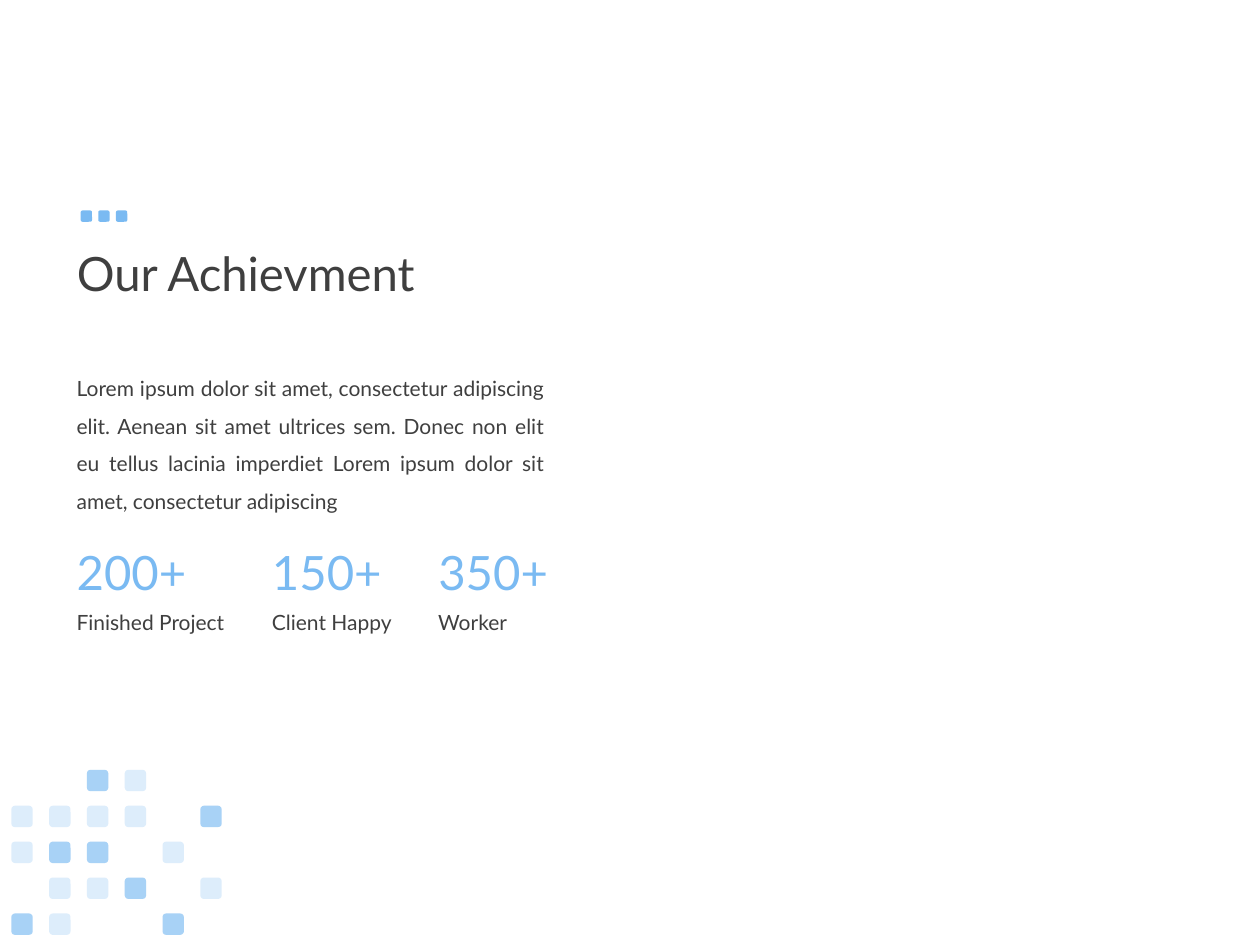
"""Build the achievement slide with three key figures and a mosaic of squares."""
from lxml.etree import SubElement
from pptx import Presentation
from pptx.dml.color import RGBColor
from pptx.enum.shapes import MSO_SHAPE as Shape
from pptx.enum.text import MSO_ANCHOR as Anchor, PP_ALIGN as Align
from pptx.oxml.ns import qn
from pptx.util import Inches, Pt

BLUE, DARK = "7ABAF2", "3F3F3F"
LEFT = 0.51
TITLE = "Our Achievment"
BODY = (
    "Lorem ipsum dolor sit amet, consectetur adipiscing elit. Aenean sit amet "
    "ultrices sem. Donec non elit eu tellus lacinia imperdiet Lorem ipsum dolor "
    "sit amet, consectetur adipiscing"
)
FIGURES = [
    (LEFT, "200+", "Finished Project"),
    (2.06, "150+", "Client Happy"),
    (3.38, "350+", "Worker"),
]
MOSAIC = [
    "..#o..",
    "oooo.#",
    "o##.o.",
    ".oo#.o",
    "#o..#.",
]
OPACITY = {"#": 65, "o": 25}
MOSAIC_LEFT, MOSAIC_TOP, COLUMN_STEP, ROW_STEP, TILE = 0.09, 6.11, 0.3, 0.285, 0.17
DOTS_LEFT, DOTS_TOP, DOT_STEP, DOT = 0.64, 1.67, 0.14, 0.09


def color(value):
    return RGBColor.from_string(value)


def write(frame, text, size, value, **formats):
    frame.word_wrap = True
    paragraph = frame.paragraphs[0]
    for name, setting in {"alignment": Align.LEFT, **formats}.items():
        setattr(paragraph, name, setting)
    run = paragraph.add_run()
    run.text = text
    for name, setting in {"name": "Lato", "size": Pt(size), "bold": False}.items():
        setattr(run.font, name, setting)
    run.font.color.rgb = color(value)


def add_text(slide, box, text, size, value, **formats):
    shape = slide.shapes.add_textbox(*map(Inches, box))
    write(shape.text_frame, text, size, value, **formats)


def add_square(group, left, top, side, opacity=100):
    shape = group.shapes.add_shape(
        Shape.ROUNDED_RECTANGLE, *map(Inches, (left, top, side, side))
    )
    shape.shadow.inherit = False
    shape.fill.solid()
    shape.fill.fore_color.rgb = color(BLUE)
    shape.line.fill.background()
    if opacity < 100:
        fill = next(shape.element.iter(qn("a:srgbClr")))
        SubElement(fill, qn("a:alpha"), val=str(opacity * 1000))


def main():
    presentation = Presentation()
    presentation.slide_width, presentation.slide_height = Inches(10), Inches(7.5)
    slide = presentation.slides.add_slide(presentation.slide_layouts[5])

    title = slide.shapes.title
    box = {"left": LEFT, "top": 1.47, "width": 8.62, "height": 1.45}
    for name, length in box.items():
        setattr(title, name, Inches(length))
    title.text_frame.vertical_anchor = Anchor.MIDDLE
    write(title.text_frame, TITLE, 27, DARK, line_spacing=0.9)

    for left, figure, label in FIGURES:
        add_text(slide, (left, 4.26, 1.19, 0.56), figure, 27, BLUE)
        add_text(slide, (left, 4.79, 1.76, 0.3), label, 12, DARK)
    add_text(slide, (LEFT, 2.83, 3.91, 1.27), BODY, 12, DARK,
             alignment=Align.JUSTIFY, line_spacing=1.5)

    mosaic = slide.shapes.add_group_shape()
    for row, tiles in enumerate(MOSAIC):
        for column, tile in enumerate(tiles):
            if tile in OPACITY:
                add_square(mosaic, MOSAIC_LEFT + column * COLUMN_STEP,
                           MOSAIC_TOP + row * ROW_STEP, TILE, OPACITY[tile])

    dots = slide.shapes.add_group_shape()
    for index in range(3):
        add_square(dots, DOTS_LEFT + index * DOT_STEP, DOTS_TOP, DOT)

    presentation.save("out.pptx")


if __name__ == "__main__":
    main()
